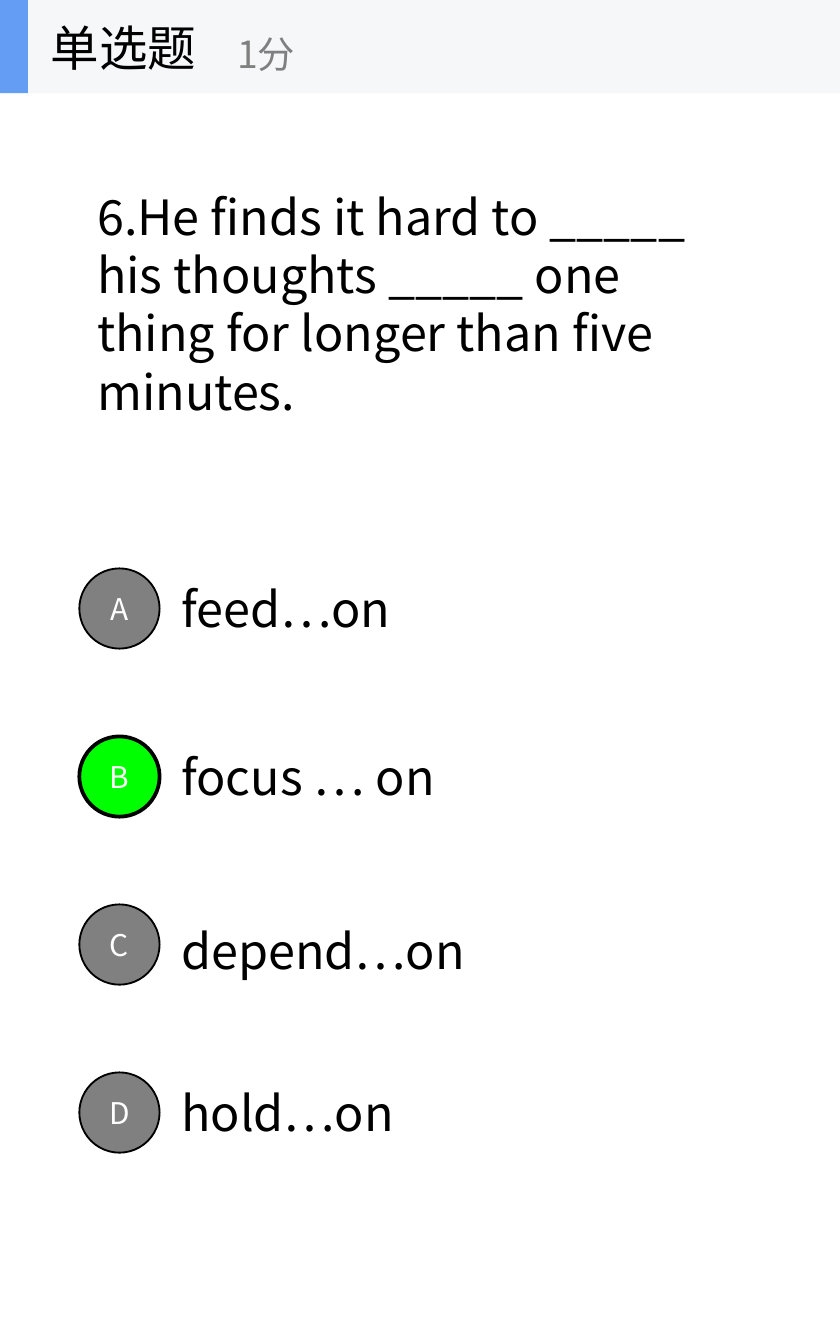
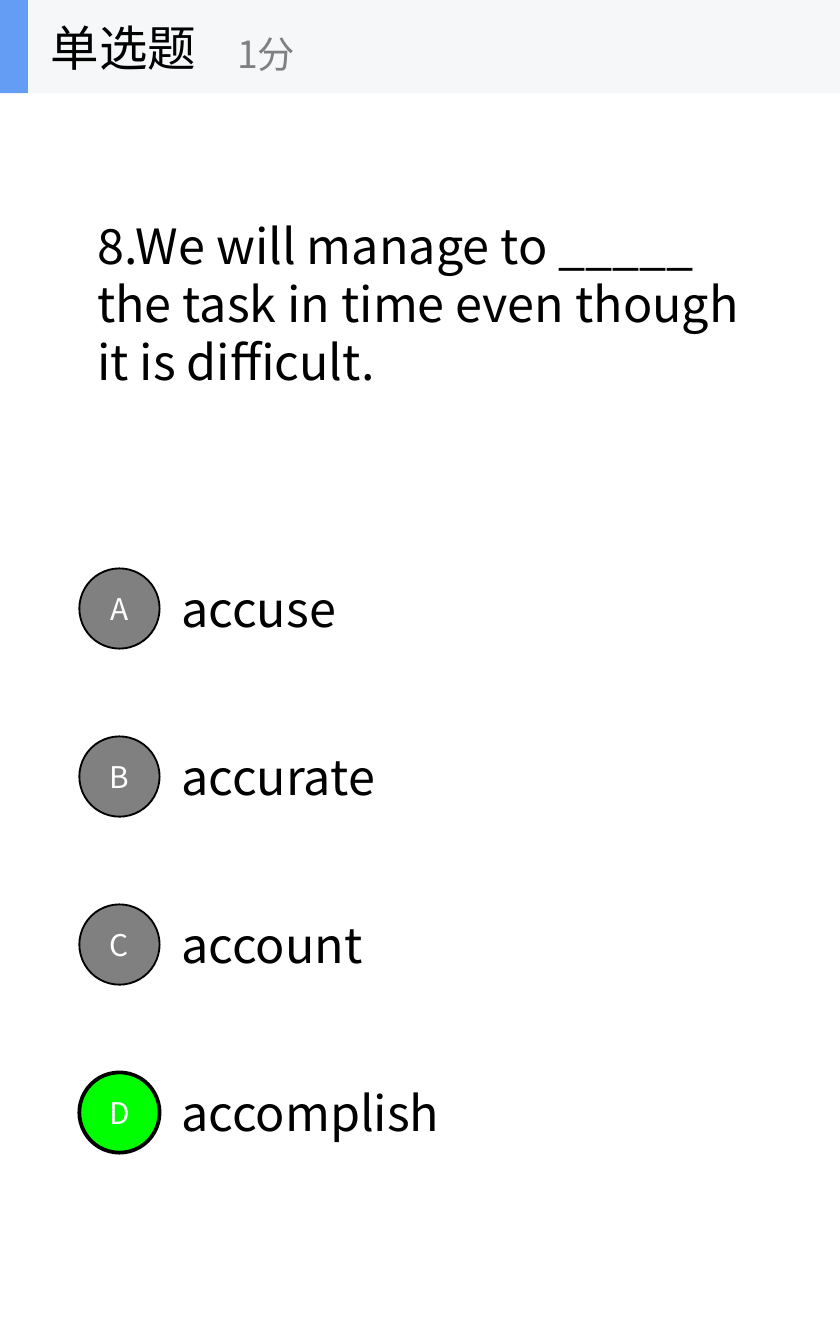
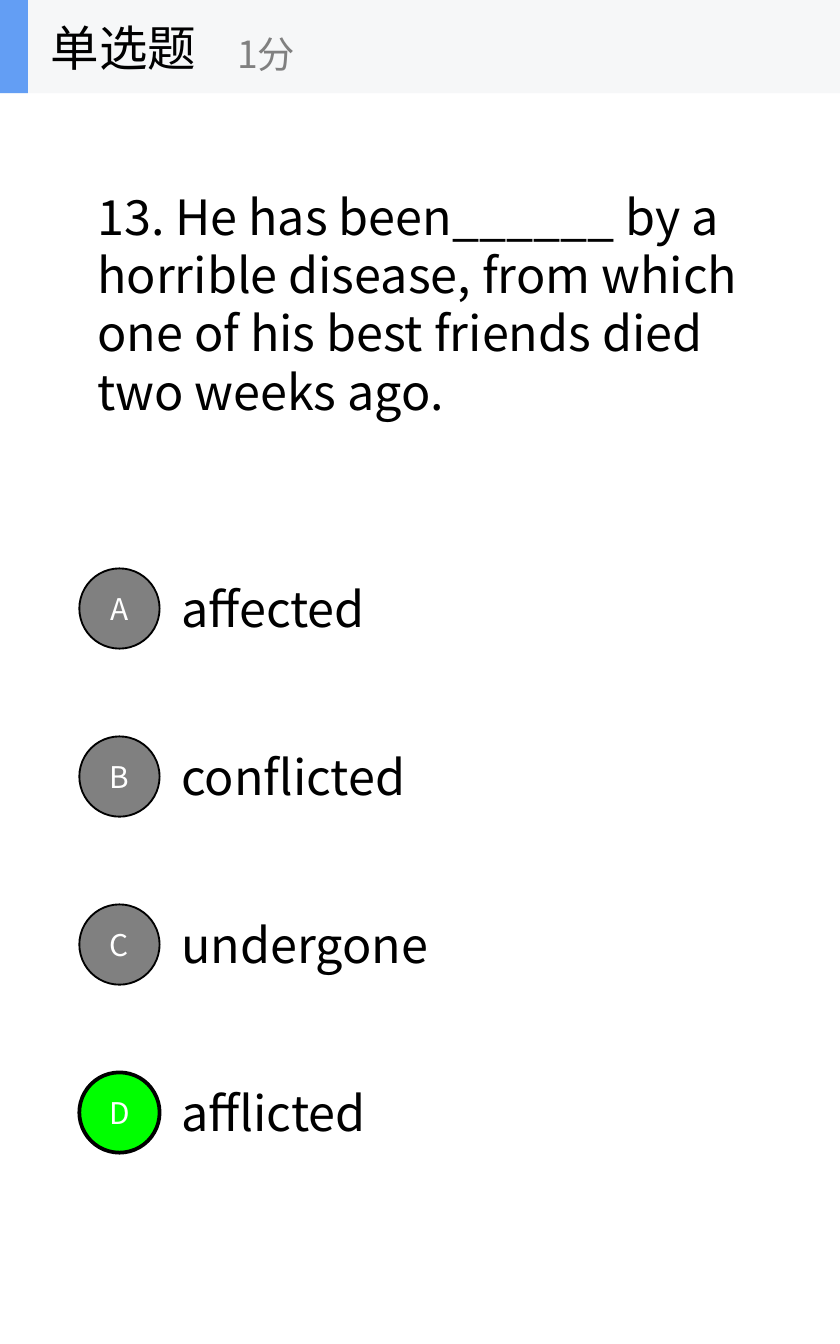
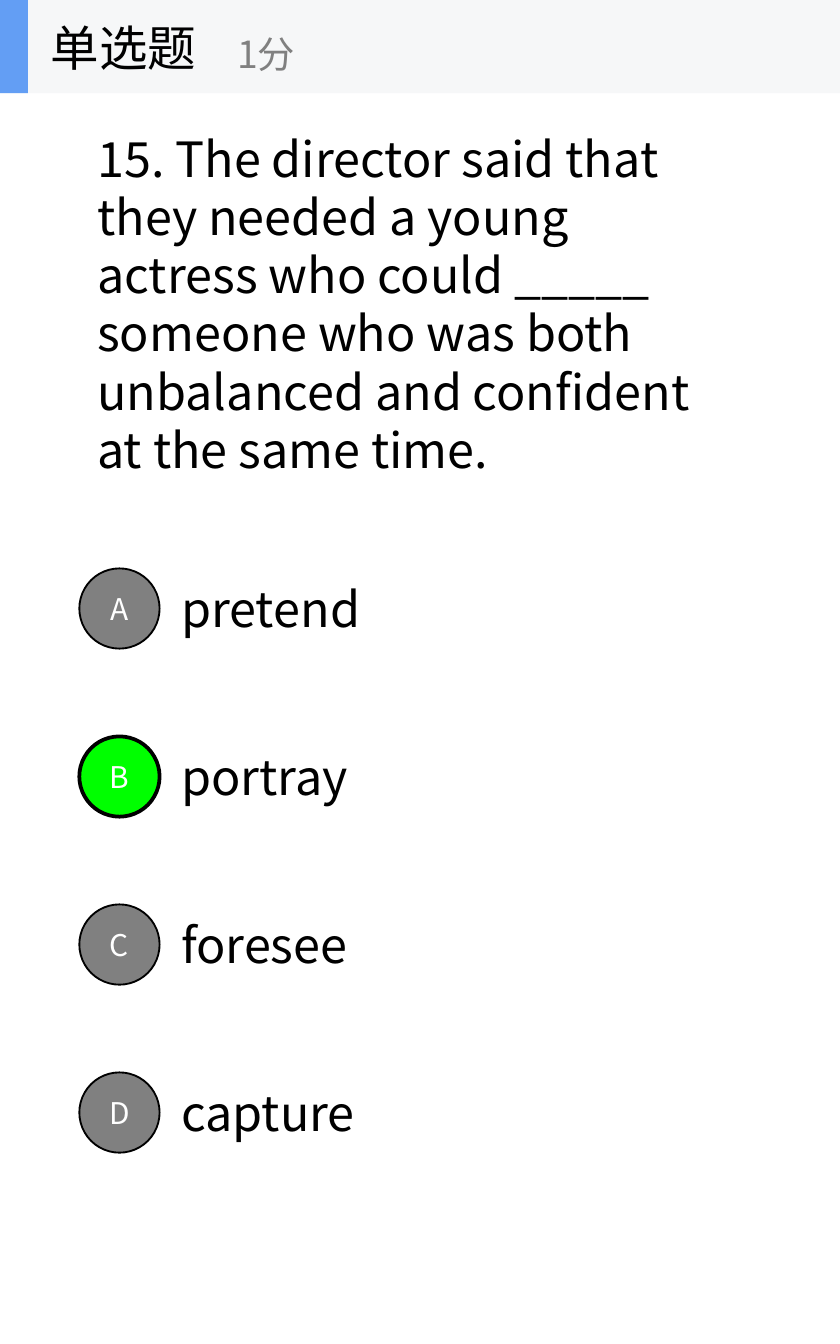
from pptx import Presentation
from pptx import util as u
from pptx.dml.color import RGBColor
from pptx.enum import shapes, text
from pptx.oxml.ns import qn

# Content: question, its line count and width, answer, options with their widths
HEADING, SCORE = "单选题", "1分"
QUESTIONS = [
    dict(stem="6.He finds it hard to _____ his thoughts _____ one thing "
              "for longer than five minutes.",
         lines=4, width=359.5, answer="B",
         options=[("feed…on", 281.5), ("focus … on", 254),
                  ("depend…on", 270), ("hold…on", 163.5)],
         lowered={"C": 3}),
    dict(stem="8.We will manage to _____ the task in time even though it is difficult.",
         lines=3, width=359.5, answer="D",
         options=[("accuse", 247.5), ("accurate", 222.5),
                  ("account", 231), ("accomplish", 163.5)]),
    dict(stem="13. He has been______ by a horrible disease, from which one of "
              "his best friends died two weeks ago.",
         lines=4, width=360, answer="D",
         options=[("affected", 123), ("conflicted", 144),
                  ("undergone", 159), ("afflicted", 122.5)]),
    dict(stem="15. The director said that they needed a young actress who could _____ "
              "someone who was both unbalanced and confident at the same time.",
         lines=6, width=347, answer="B",
         options=[("pretend", 119.5), ("portray", 114),
                  ("foresee", 114), ("capture", 116)]),
]

# Shared look, lengths in points
FONT = "Noto Sans CJK SC"
BLACK, WHITE, GREY, GREEN = "000000", "FFFFFF", "808080", "00FF00"
BAND, ACCENT = "F6F7F8", "639EF4"
WIDTH, HEIGHT = 450, 720
BAND_HEIGHT = 50
STEM_LEFT, STEM_MIDDLE = 45, 162.5
LINE_HEIGHT, BOX_PADDING = 31.2, 7.2
BADGE_LEFT, BADGE_SIZE = 42.5, 43
OPTION_LEFT, OPTION_MIDDLE, OPTION_STEP = 90, 326, 90


def color(value):
    return RGBColor.from_string(value)


def points(*lengths):
    return [u.Pt(length) for length in lengths]


def write(shape, words, size, ink, align=text.PP_ALIGN.LEFT, wrap=True, grow=False):
    frame = shape.text_frame
    frame.text = words
    frame.word_wrap = wrap
    frame.vertical_anchor = text.MSO_ANCHOR.MIDDLE
    frame.auto_size = (text.MSO_AUTO_SIZE.SHAPE_TO_FIT_TEXT if grow
                       else text.MSO_AUTO_SIZE.NONE)
    paragraph = frame.paragraphs[0]
    paragraph.alignment = align
    for run in paragraph.runs:
        run.font.size = u.Pt(size)
        run.font.name = FONT
        run.font.color.rgb = color(ink)
        east_asian = run.font._element.makeelement(qn("a:ea"), {"typeface": FONT})
        run.font._element.append(east_asian)


def filled(parent, kind, box, fill, line_width=0):
    shape = parent.add_shape(kind, *points(*box))
    shape.shadow.inherit = False
    shape.fill.solid()
    shape.fill.fore_color.rgb = color(fill)
    if line_width:
        shape.line.color.rgb = color(BLACK)
        shape.line.width = u.Pt(line_width)
    else:
        shape.line.fill.background()
    return shape


def text_block(slide, words, left, middle, width, lines=1):
    height = lines * LINE_HEIGHT + BOX_PADDING
    block = slide.shapes.add_textbox(*points(left, middle - height / 2, width, height))
    write(block, words, 26, BLACK, grow=True)


def add_option(slide, letter, middle, words, width, correct, lowered):
    text_block(slide, words, OPTION_LEFT, middle + lowered, width)
    badge = filled(slide.shapes, shapes.MSO_SHAPE.OVAL,
                   (BADGE_LEFT, middle - BADGE_SIZE / 2, BADGE_SIZE, BADGE_SIZE),
                   GREEN if correct else GREY, 2 if correct else 1)
    write(badge, letter, 16, WHITE, text.PP_ALIGN.CENTER)
    frame = badge.text_frame
    frame.margin_left = frame.margin_right = 0


def add_header(slide):
    header = slide.shapes.add_group_shape().shapes
    for width, fill in ((WIDTH, BAND), (15, ACCENT)):
        filled(header, shapes.MSO_SHAPE.RECTANGLE, (0, 0, width, BAND_HEIGHT), fill)
    score = header.add_textbox(*points(120, 8.5, 180, 40.5))
    write(score, SCORE, 20, GREY, wrap=False)

    # The title sits above the band
    heading = slide.shapes.title
    heading.left, heading.top, heading.width, heading.height = points(
        20, 0, 150, BAND_HEIGHT)
    write(heading, HEADING, 26, BLACK, wrap=False)
    slide.shapes._spTree.append(heading._element)


def add_question(deck, question):
    slide = deck.slides.add_slide(deck.slide_layouts[5])
    slide.background.fill.solid()
    slide.background.fill.fore_color.rgb = color(WHITE)
    text_block(slide, question["stem"], STEM_LEFT, STEM_MIDDLE,
               question["width"], question["lines"])
    for row, (letter, (words, width)) in enumerate(zip("ABCD", question["options"])):
        add_option(slide, letter, OPTION_MIDDLE + row * OPTION_STEP, words, width,
                   letter == question["answer"],
                   question.get("lowered", {}).get(letter, 0))
    add_header(slide)


def main():
    deck = Presentation()
    deck.slide_width, deck.slide_height = points(WIDTH, HEIGHT)
    for question in QUESTIONS:
        add_question(deck, question)
    deck.save("out.pptx")


if __name__ == "__main__":
    main()
